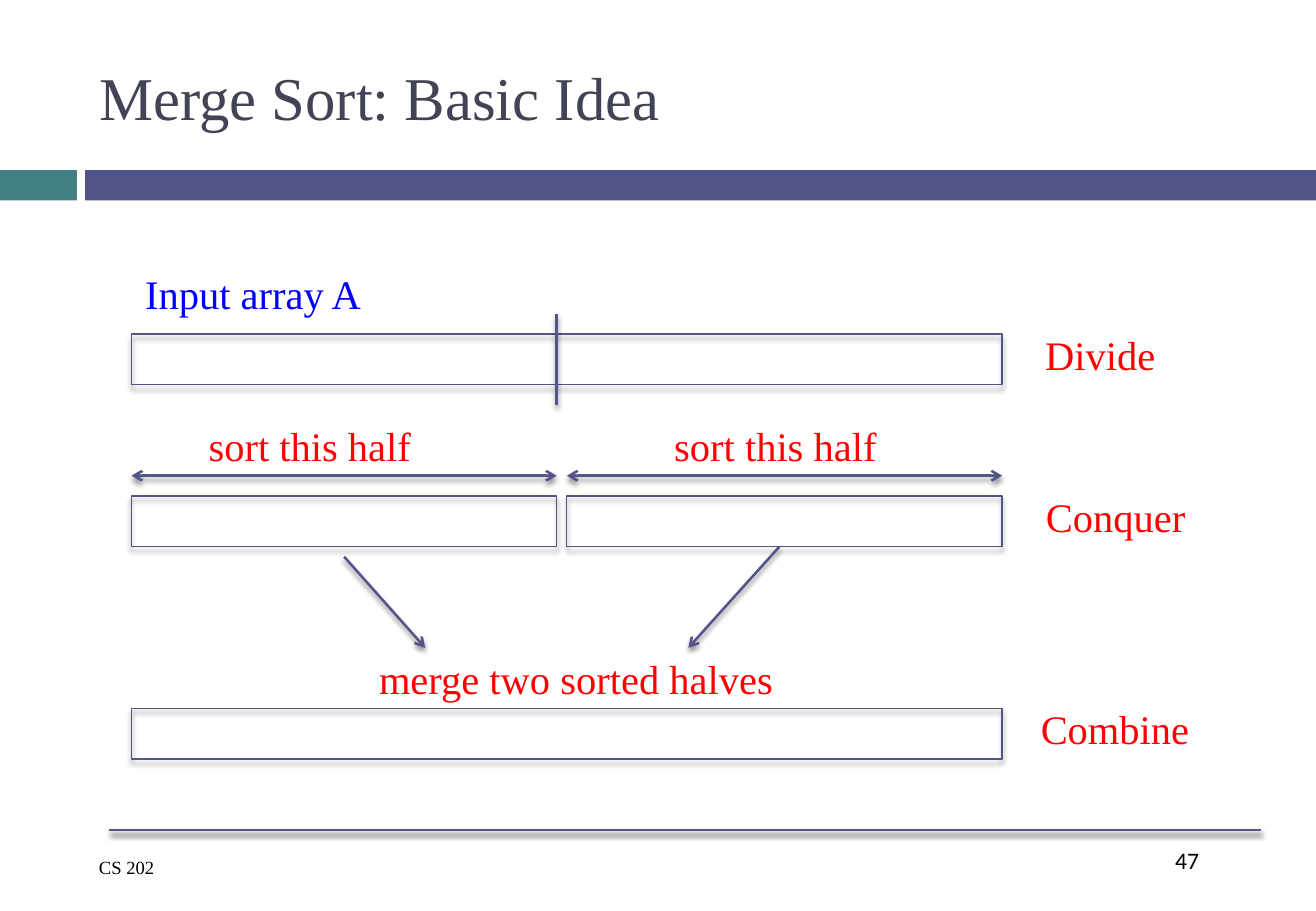
from lxml import etree
from pptx import Presentation
from pptx.dml.color import RGBColor
from pptx.enum.shapes import MSO_CONNECTOR, MSO_SHAPE
from pptx.enum.text import MSO_ANCHOR, MSO_AUTO_SIZE, PP_ALIGN
from pptx.oxml.ns import qn
from pptx.util import Inches, Pt

RECT, STRAIGHT = MSO_SHAPE.RECTANGLE, MSO_CONNECTOR.STRAIGHT
LEFT, CENTER = PP_ALIGN.LEFT, PP_ALIGN.CENTER
MIDDLE, GROW = MSO_ANCHOR.MIDDLE, MSO_AUTO_SIZE.SHAPE_TO_FIT_TEXT

SERIF, SANS = "Times New Roman", "Calibri"
INDIGO, TEAL, SLATE = "53548A", "438086", "424456"
RED, BLUE, BLACK = "FF0000", "0000FF", "000000"

# The grid has 130 columns and 90 rows, twelve to the inch
COLS, ROWS = 130, 90
CELL = Inches(1) // 12
BAR_H, LABEL_H = 5, 6


def rgb(color):
    return RGBColor.from_string(color)


def cells(*lengths):
    return [round(n * CELL) for n in lengths]


def format_text(tf, text, font=SERIF, size=24, color=RED, align=CENTER):
    p = tf.paragraphs[0]
    p.alignment = align
    r = p.add_run()
    r.text = text
    r.font.name, r.font.size = font, Pt(size)
    r.font.color.rgb = rgb(color)


def add_text(s, text, x, y, w, h=LABEL_H, wrap=False, **fmt):
    tf = s.shapes.add_textbox(*cells(x, y, w, h)).text_frame
    tf.word_wrap = wrap
    tf.auto_size = GROW
    format_text(tf, text, **fmt)


def add_shadow(shape):
    effects = etree.SubElement(shape._element.spPr, qn("a:effectLst"))
    shadow = etree.SubElement(effects, qn("a:outerShdw"), blurRad=str(Pt(3)),
                              dist=str(Pt(2.4)), dir="5400000", rotWithShape="0")
    color = etree.SubElement(shadow, qn("a:srgbClr"), val=BLACK)
    etree.SubElement(color, qn("a:alpha"), val="45000")


def add_line(s, x1, y1, x2, y2, ends=()):
    line = s.shapes.add_connector(STRAIGHT, *cells(x1, y1, x2, y2))
    line.line.color.rgb = rgb(INDIGO)
    line.line.width = Pt(1.5)
    ln = line._element.spPr.find(qn("a:ln"))
    for end in ends:
        etree.SubElement(ln, qn(f"a:{end}"), type="arrow")
    add_shadow(line)


def add_bar(s, x, y, w):
    bar = s.shapes.add_shape(RECT, *cells(x, y, w, BAR_H))
    bar.fill.background()
    bar.line.color.rgb = rgb(INDIGO)
    bar.line.width = Pt(0.79)
    add_shadow(bar)


def draw_header(s, title, x, y, w, h):
    # Two-coloured band under the title
    for left, width, color in ((0, 7.6, TEAL), (8.4, COLS - 8.4, INDIGO)):
        band = s.shapes.add_shape(RECT, *cells(left, y + 13.8, width, 3))
        band.shadow.inherit = False
        band.fill.solid()
        band.fill.fore_color.rgb = rgb(color)
        band.line.fill.background()
    # Title placeholder
    ph = s.shapes.title
    ph.left, ph.top, ph.width, ph.height = cells(x, y + 3, w, h)
    ph.text_frame.vertical_anchor = MIDDLE
    format_text(ph.text_frame, title, size=36, color=SLATE, align=LEFT)


def draw_footer(s, course, number, x, y, w):
    add_line(s, x + 2.2, y, x + w, y)
    add_text(s, course, x, y + 2, 24, 3.5, wrap=True,
             size=11, color=BLACK, align=LEFT)
    add_text(s, number, x + w - 9.7, y + 1, 9.7, wrap=True,
             font=SANS, size=14, color=BLACK, align=LEFT)


def draw_merge_sort(s, x, y, w):
    middle, right = x + 42, x + w
    conquer, combine = y + 16, y + 37

    # Divide: the whole array, cut in the middle
    add_text(s, "Input array A", x, y - 7, 24, color=BLUE)
    add_bar(s, x, y, w)
    add_line(s, middle, y - 2, middle, y + 7)

    # Conquer: each half under its double arrow
    for left, end, label_x in ((x, middle, x + 6), (middle + 1, right, x + 52)):
        add_bar(s, left, conquer, end - left)
        add_line(s, left, conquer - 2, end, conquer - 2, ("headEnd", "tailEnd"))
        add_text(s, "sort this half", label_x, conquer - 8, 23.2)

    # Combine: both halves flow into one sorted array
    add_line(s, x + 21, conquer + 6, x + 29, combine - 6, ("tailEnd",))
    add_line(s, x + 64, conquer + BAR_H, x + 55, combine - 6, ("tailEnd",))
    add_text(s, "merge two sorted halves", x + 23, combine - 6, 41.8)
    add_bar(s, x, combine, w)

    # Step names beside the bars
    for step, gap, top, width in (("Divide", 3, y, 13.4),
                                  ("Conquer", 3, conquer, 16.4),
                                  ("Combine", 2.5, combine, 17.3)):
        add_text(s, step, right + gap, top - 1, width)


def main():
    prs = Presentation()
    prs.slide_width, prs.slide_height = cells(COLS, ROWS)
    s = prs.slides.add_slide(prs.slide_layouts[5])
    draw_header(s, "Merge Sort: Basic Idea", 8.6, 3, 116, 13)
    s.shapes.title.top = cells(3)[0]
    draw_merge_sort(s, 13, 33, 86)
    draw_footer(s, "CS 202", "47", 8.6, 82, 116)
    prs.save("out.pptx")


if __name__ == "__main__":
    main()
